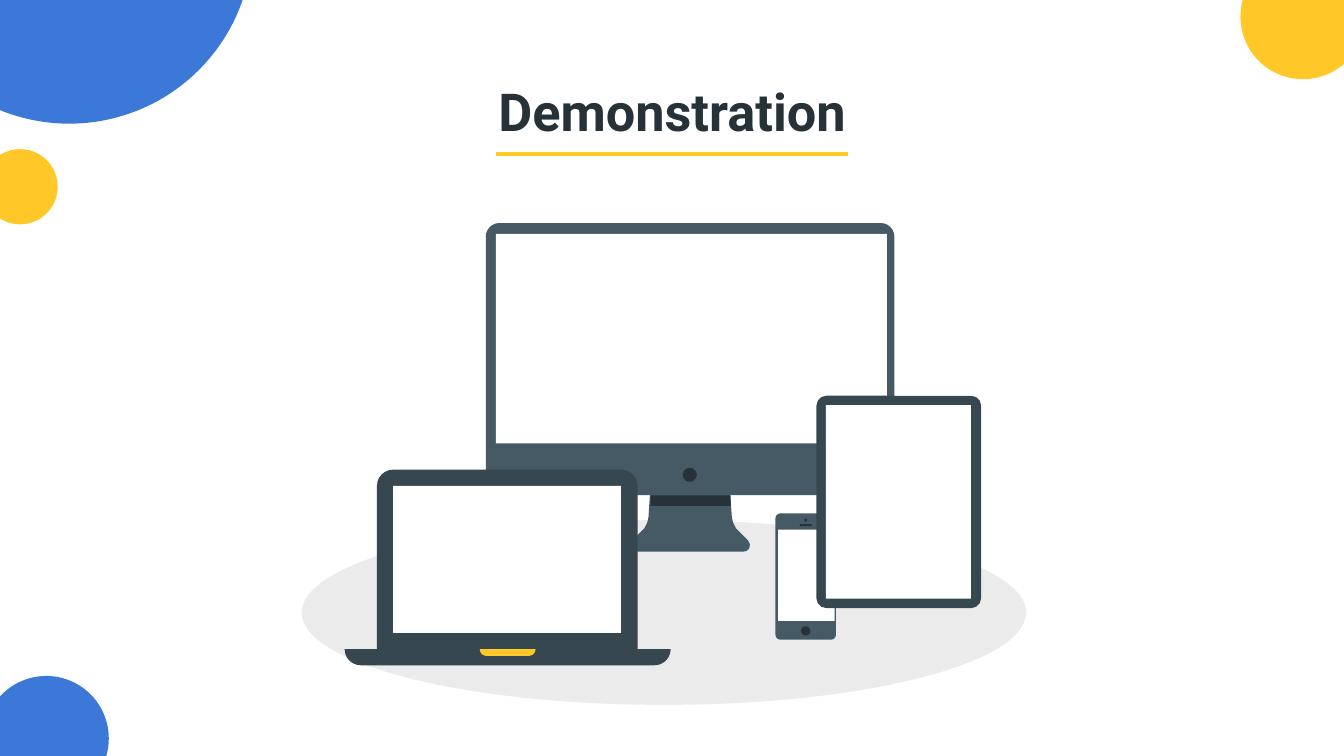
from math import cos, pi, sin

from lxml import etree
from pptx import Presentation
from pptx.dml.color import RGBColor
from pptx.enum.shapes import MSO_CONNECTOR, MSO_SHAPE
from pptx.enum.text import MSO_ANCHOR, PP_ALIGN
from pptx.oxml.ns import qn
from pptx.util import Inches, Pt

OVAL = MSO_SHAPE.OVAL
RECT = MSO_SHAPE.RECTANGLE
ROUND = MSO_SHAPE.ROUNDED_RECTANGLE
ROUND_TOP = MSO_SHAPE.ROUND_2_SAME_RECTANGLE
LINE = MSO_CONNECTOR.STRAIGHT
TOP = MSO_ANCHOR.TOP
CENTER = PP_ALIGN.CENTER

BLUE = RGBColor(0x3C, 0x78, 0xD8)
YELLOW = RGBColor(0xFF, 0xC7, 0x27)
GRAY = RGBColor(0xEB, 0xEB, 0xEB)
SLATE = RGBColor(0x45, 0x5A, 0x64)
DARK = RGBColor(0x37, 0x47, 0x4F)
INK = RGBColor(0x26, 0x32, 0x38)
WHITE = RGBColor(0xFF, 0xFF, 0xFF)

prs = Presentation()
prs.slide_width = Inches(10)
prs.slide_height = prs.slide_width * 9 // 16
COL = prs.slide_width / 100
ROW = prs.slide_height / 56.25
s = prs.slides.add_slide(prs.slide_layouts[6])
s.background.fill.solid()
s.background.fill.fore_color.rgb = WHITE


def add_part(kind, x, y, w, h, color, corner=None):
    sp = s.shapes.add_shape(kind, int(x * COL), int(y * ROW), int(w * COL), int(h * ROW))
    if corner is not None:
        sp.adjustments[0] = corner
    sp.shadow.inherit = False
    sp.fill.solid()
    sp.fill.fore_color.rgb = color
    sp.line.fill.background()


def add_outline(points, color):
    cells = [(int(x * COL), int(y * ROW)) for x, y in points]
    builder = s.shapes.build_freeform(*cells[0])
    builder.add_line_segments(cells[1:], close=True)
    sp = builder.convert_to_shape()
    sp.shadow.inherit = False
    sp.fill.solid()
    sp.fill.fore_color.rgb = color
    sp.line.fill.background()


for x, y, size, color in [
    (-1.2, 50.3, 9.3, BLUE),
    (92.3, -3.4, 9.3, YELLOW),
    (-8.5, -18.1, 27.3, BLUE),
    (-1.3, 11.1, 5.6, YELLOW),
]:
    add_part(OVAL, x, y, size, size, color)

add_part(OVAL, 22.45, 38.7, 53.9, 13.75, GRAY)

stand_center = 51.35
stand_half = [
    (2.2, 25.7), (2.7, 32.6), (3, 36.9), (3.1, 38.5), (3.2, 38.9), (3.4, 39.3),
    (4.3, 40.2), (4.45, 40.5), (4.4, 40.8), (4.2, 41), (3.9, 41.05),
]
stand = [(stand_center + dx, y) for dx, y in stand_half]
stand += [(stand_center - dx, y) for dx, y in reversed(stand_half)]
add_outline(stand, SLATE)

for part in [
    (ROUND, 36.15, 16.6, 30.4, 20.25, SLATE, 0.05),
    (OVAL, 50.8, 34.8, 1.05, 1.05, INK),
    (RECT, 48.4, 36.85, 5.95, 0.8, INK),
    (RECT, 36.9, 17.4, 29.1, 15.6, WHITE),
    (ROUND_TOP, 28.05, 34.95, 19.4, 13.4, DARK, 0.09),
    (RECT, 29.25, 36.15, 16.95, 10.95, WHITE),
]:
    add_part(*part)

for x, w, h, color in [(25.65, 24.25, 1.2, DARK), (35.7, 4.15, 0.5, YELLOW)]:
    y = 48.3
    angles = [pi / 2 * i / 12 for i in range(13)]
    left = [(x + h - h * cos(a), y + h * sin(a)) for a in angles]
    right = [(2 * x + w - px, py) for px, py in reversed(left)]
    add_outline(left + right, color)

for part in [
    (ROUND, 57.7, 38.2, 4.5, 9.4, SLATE, 0.08),
    (OVAL, 59.6, 46.6, 0.7, 0.7, INK),
    (ROUND, 59.5, 39, 0.9, 0.15, INK, 0.5),
    (OVAL, 59.85, 38.6, 0.2, 0.2, INK),
    (RECT, 57.9, 39.4, 4.2, 6.8, WHITE),
    (ROUND, 60.75, 29.45, 12.25, 15.8, DARK, 0.06),
    (RECT, 61.45, 30.15, 10.8, 14.4, WHITE),
]:
    add_part(*part)

rule_y = int(11.45 * ROW)
rule = s.shapes.add_connector(LINE, int(36.9 * COL), rule_y, int(63.1 * COL), rule_y)
rule.line.color.rgb = YELLOW
rule.line.width = Pt(2.25)
etree.SubElement(rule._element.spPr, qn("a:effectLst"))

title = s.shapes.add_textbox(int(7.85 * COL), int(4.9 * ROW), int(84.3 * COL), int(6.3 * ROW))
tf = title.text_frame
tf.word_wrap = True
tf.vertical_anchor = TOP
tf.margin_left = tf.margin_right = tf.margin_top = tf.margin_bottom = Inches(0.1)
p = tf.paragraphs[0]
p.text = "Demonstration"
p.alignment = CENTER
p.font.name = "Roboto"
p.font.size = Pt(28)
p.font.bold = True
p.font.color.rgb = INK

prs.save("out.pptx")
